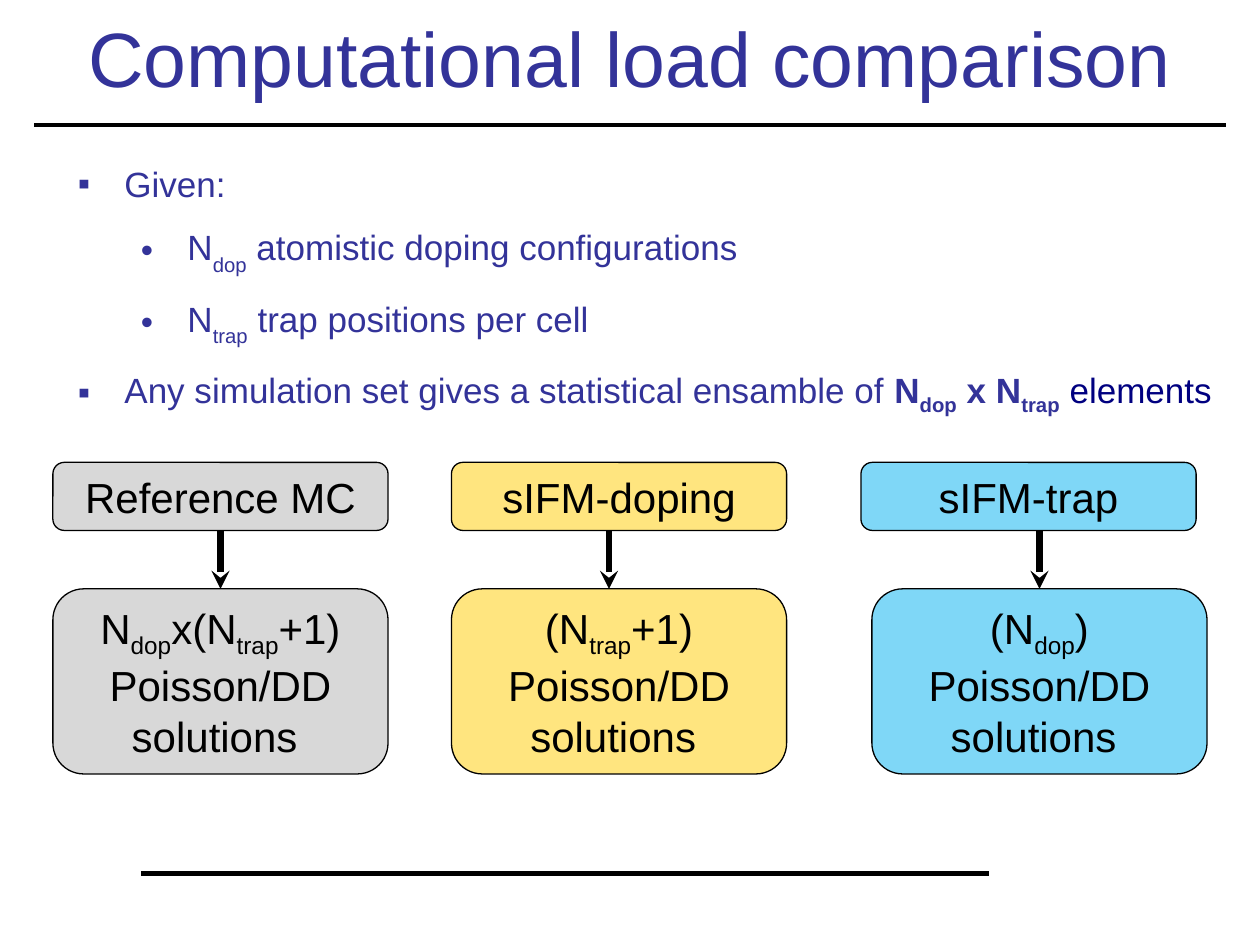
from pptx import Presentation
from pptx.dml.color import RGBColor
from pptx.enum.shapes import MSO_CONNECTOR, MSO_SHAPE
from pptx.enum.text import MSO_ANCHOR, PP_ALIGN
from pptx.oxml.ns import qn
from pptx.util import Pt
from lxml.etree import SubElement

INDIGO = RGBColor(0x33, 0x33, 0x99)
NAVY = RGBColor(0x00, 0x00, 0x80)
BLACK = RGBColor(0x00, 0x00, 0x00)
GREY = RGBColor(0xB3, 0xB3, 0xB3)
AMBER = RGBColor(0xFF, 0xCC, 0x00)
BLUE = RGBColor(0x00, 0xB0, 0xF0)

BOX_WIDTH = 191.5
HEAD_TOP, HEAD_HEIGHT = 264.25, 38.9
LOAD_TOP, LOAD_HEIGHT = 336.5, 105.8


def add_runs(p, text, size, color, bold=False, drop=-25):
    """Add text to a paragraph, lowering the parts between underscores."""
    formats = {"name": "Arial", "size": Pt(size), "bold": bold}
    for i, part in enumerate(text.split("_")):
        if not part:
            continue
        r = p.add_run()
        r.text = part
        for name, value in formats.items():
            setattr(r.font, name, value)
        r.font.color.rgb = color
        if i % 2:
            r.font._element.set("baseline", str(drop * 1000))


def add_title(s, text):
    """Place and format the title placeholder."""
    sp = s.shapes.title
    box = {"left": 36.7, "top": 2.2, "width": 646.6, "height": 59.8}
    for name, value in box.items():
        setattr(sp, name, Pt(value))
    tf = sp.text_frame
    tf.vertical_anchor = MSO_ANCHOR.MIDDLE
    p = tf.paragraphs[0]
    p.alignment = PP_ALIGN.CENTER
    add_runs(p, text, 44, INDIGO)


def set_bullet(p, level):
    """Give a paragraph the hanging bullet of its level."""
    p.level = level
    p.space_after = Pt(12)
    pPr = p._p.get_or_add_pPr()
    pPr.set("marL", str(Pt(26.64 + 36 * level)))
    pPr.set("indent", str(Pt(-26.64)))
    SubElement(SubElement(pPr, qn("a:buClr")), qn("a:srgbClr"), val=str(INDIGO))
    SubElement(pPr, qn("a:buFont"), typeface="Arial")
    SubElement(pPr, qn("a:buChar"), char="▪•"[level])


def add_bullets(s, items):
    """Add the bulleted text, each item a level and its formatted pieces."""
    tf = s.shapes.add_textbox(Pt(37.4), Pt(89.3), Pt(698.4), Pt(152.6)).text_frame
    tf.word_wrap = True
    for i, (level, pieces) in enumerate(items):
        p = tf.add_paragraph() if i else tf.paragraphs[0]
        set_bullet(p, level)
        for text, fmt in pieces:
            add_runs(p, text, 20, **{"color": INDIGO, **fmt})


def add_box(s, left, top, height, color, text):
    """Add a rounded, half-transparent box with centred text."""
    sp = s.shapes.add_shape(MSO_SHAPE.FLOWCHART_ALTERNATE_PROCESS,
                            Pt(left), Pt(top), Pt(BOX_WIDTH), Pt(height))
    sp.shadow.inherit = False
    sp.fill.solid()
    sp.fill.fore_color.rgb = color
    SubElement(sp.fill._xPr.find(qn("a:solidFill"))[0], qn("a:alpha"), val="50000")
    sp.line.color.rgb = BLACK
    sp.line.width = Pt(0.75)
    tf = sp.text_frame
    tf.word_wrap = True
    tf.vertical_anchor = MSO_ANCHOR.MIDDLE
    p = tf.paragraphs[0]
    p.alignment = PP_ALIGN.CENTER
    add_runs(p, text, 24, BLACK)
    return sp


def add_line(s, x1, y1, x2, y2, width, arrow=False):
    """Add a straight black line, with a stealth head if it is an arrow."""
    cxn = s.shapes.add_connector(MSO_CONNECTOR.STRAIGHT,
                                 Pt(x1), Pt(y1), Pt(x2), Pt(y2))
    cxn.line.color.rgb = BLACK
    cxn.line.width = Pt(width)
    if arrow:
        SubElement(cxn.line._get_or_add_ln(), qn("a:tailEnd"), type="stealth")
    SubElement(cxn._element.spPr, qn("a:effectLst"))
    return cxn


def add_method(s, name, load, color, head_left, load_left, arrow_x):
    """Add a method box, its load box and the arrow between them."""
    head = add_box(s, head_left, HEAD_TOP, HEAD_HEIGHT, color, name)
    result = add_box(s, load_left, LOAD_TOP, LOAD_HEIGHT, color, load)
    arrow = add_line(s, arrow_x, HEAD_TOP + HEAD_HEIGHT, arrow_x, LOAD_TOP, 3.5, True)
    if arrow_x == head_left + BOX_WIDTH / 2:
        arrow.begin_connect(head, 2)
    if arrow_x == load_left + BOX_WIDTH / 2:
        arrow.end_connect(result, 0)


def main():
    """Build the slide and save it."""
    prs = Presentation()
    prs.slide_width, prs.slide_height = Pt(720), Pt(540)
    s = prs.slides.add_slide(prs.slide_layouts[5])
    add_line(s, 19.5, 71.3, 700.5, 71.3, 2)
    add_line(s, 80.7, 499, 565.3, 499, 2.89)
    add_title(s, "Computational load comparison")
    low = {"drop": -33}
    add_bullets(s, [
        (0, [("Given:", {})]),
        (1, [("N_dop_ atomistic doping configurations", low)]),
        (1, [("N_trap_ trap positions per cell", low)]),
        (0, [("Any simulation set gives a statistical ensamble of ", {}),
             ("N_dop_ x N_trap_", {"bold": True}),
             (" elements", {"color": NAVY})]),
    ])
    methods = [
        ("Reference MC", "N_dop_x(N_trap_+1) Poisson/DD solutions ",
         GREY, 30.25, 30.25, 126),
        ("sIFM-doping", "(N_trap_+1) Poisson/DD solutions ",
         AMBER, 258, 258, 348),
        ("sIFM-trap", "(N_dop_) Poisson/DD solutions ",
         BLUE, 492, 498.25, 594),
    ]
    for method in methods:
        add_method(s, *method)
    prs.save("out.pptx")


if __name__ == "__main__":
    main()
